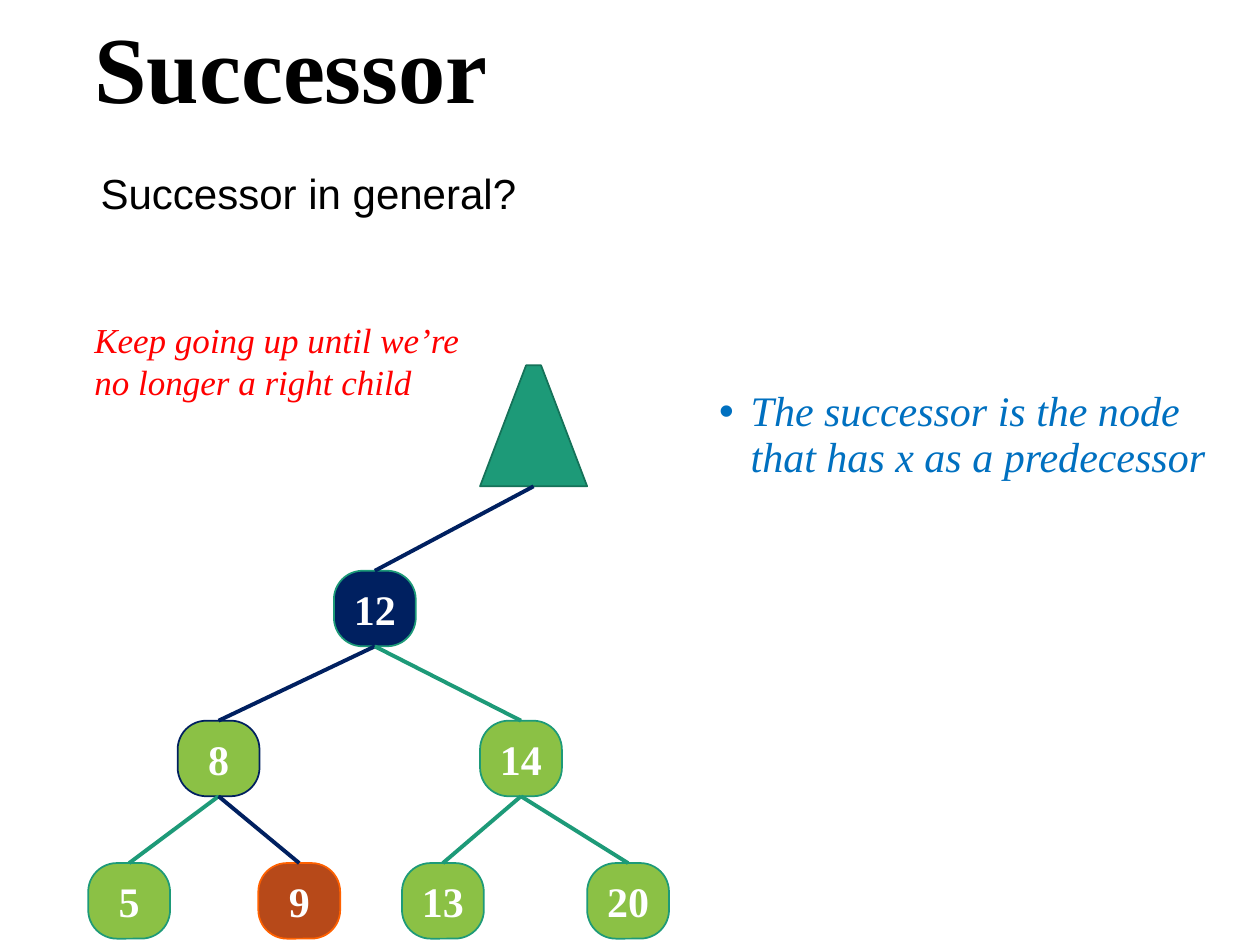
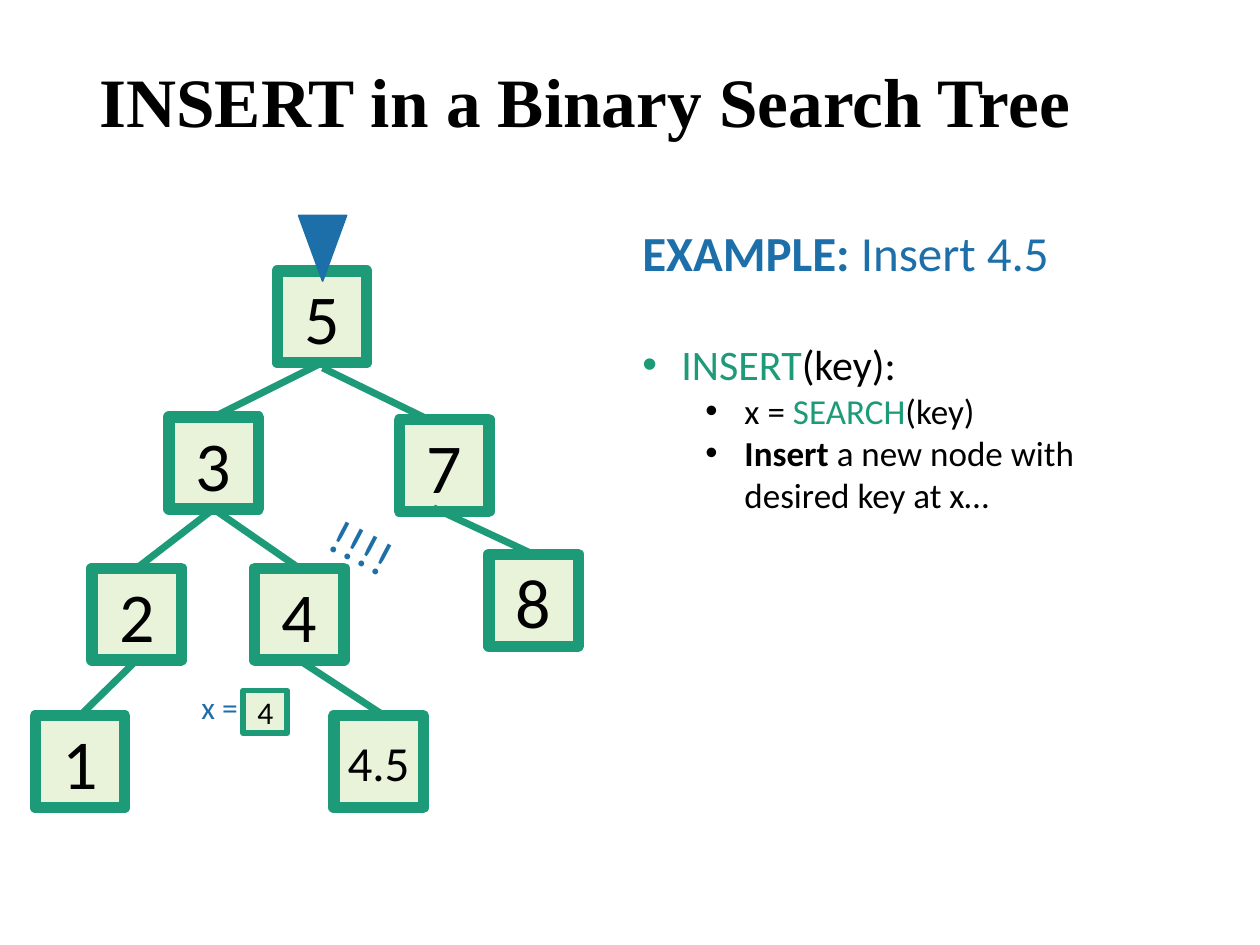
import lxml.etree
import pptx
import pptx.dml.color
import pptx.enum.shapes
import pptx.enum.text
import pptx.oxml.ns
import pptx.util

Inches = pptx.util.Inches
Pt = pptx.util.Pt
RGB = pptx.dml.color.RGBColor.from_string
qn = pptx.oxml.ns.qn
SHAPE = pptx.enum.shapes.MSO_SHAPE
ANCHOR = pptx.enum.text.MSO_ANCHOR
ALIGN = pptx.enum.text.PP_ALIGN


class Theme:
    black, white, red = "000000", "FFFFFF", "FF0000"
    green, dark_green, lime, pale = "1D9A78", "157259", "8BC145", "E8F3DA"
    navy, blue, sky = "002060", "1D6FA9", "0070C0"
    rust, orange = "B74919", "FF6100"
    serif, sans, plain = "Times New Roman", "Calibri", "Arial"
    styles = {
        "title": (serif, 54, black, True, False),
        "long title": (serif, 39.6, black, True, False),
        "question": (plain, 24, black, False, False),
        "hint": (serif, 20, red, False, True),
        "remark": (serif, 24, sky, False, True),
        "round node": (serif, 24, white, True, False),
        "node": (sans, 40, black, False, False),
        "wide node": (sans, 28, black, False, False),
        "small node": (sans, 18, black, False, False),
        "label": (sans, 18, blue, False, False),
        "example": (sans, 28, blue, False, False),
        "example bold": (sans, 28, blue, True, False),
        "call": (sans, 24, green, False, False),
        "code": (sans, 24, black, False, False),
        "step": (sans, 20, black, False, False),
        "step call": (sans, 20, green, False, False),
        "step bold": (sans, 20, black, True, False),
    }


def write(shape, paragraphs, anchor=ANCHOR.TOP, align=ALIGN.LEFT, spacing=1.0, hang=0.31):
    tf = shape.text_frame
    tf.word_wrap = True
    tf.vertical_anchor = anchor
    for i, (indent, runs) in enumerate(paragraphs):
        p = tf.paragraphs[0] if i == 0 else tf.add_paragraph()
        if indent:
            p.level = int(indent > hang)
            pPr = p._p.get_or_add_pPr()
            pPr.set("marL", str(Inches(indent)))
            pPr.set("indent", str(Inches(-hang)))
            lxml.etree.SubElement(pPr, qn("a:buFont")).set("typeface", Theme.plain)
            lxml.etree.SubElement(pPr, qn("a:buChar")).set("char", "•")
        p.alignment = align
        p.line_spacing = spacing
        for text, style in runs:
            r = p.add_run()
            r.text = text
            r.font.name, size, color, r.font.bold, r.font.italic = Theme.styles[style]
            r.font.size = Pt(size)
            r.font.color.rgb = RGB(color)


def draw(s, kind, box, fill, line, width, text="", style="node"):
    sp = s.shapes.add_shape(kind, *map(Inches, box))
    sp.shadow.inherit = False
    sp.fill.solid()
    sp.fill.fore_color.rgb = RGB(fill)
    sp.line.color.rgb = RGB(line)
    sp.line.width = Pt(width)
    if text:
        tf = sp.text_frame
        tf.margin_left = tf.margin_right = tf.margin_top = tf.margin_bottom = 0
        write(sp, [(0, [(text, style)])], ANCHOR.MIDDLE, ALIGN.CENTER)
    return sp


prs = pptx.Presentation()
prs.slide_width, prs.slide_height = Inches(10), Inches(7.5)
successor = prs.slides.add_slide(prs.slide_layouts[6])
insert = prs.slides.add_slide(prs.slide_layouts[6])

for s, box, text, style in [
    (successor, (0.65, 0.07, 8.62, 1.02), "Successor", "title"),
    (insert, (0.69, 0.4, 8.62, 0.87), "INSERT in a Binary Search Tree", "long title"),
]:
    write(s.shapes.add_textbox(*map(Inches, box)), [(0, [(text, style)])], ANCHOR.MIDDLE, spacing=0.9)

for s, box, text, style, angle in [
    (successor, (0.7, 1.28, 4.08, 0.5), "Successor in general?", "question", 0),
    (successor, (0.65, 2.48, 3.26, 0.77), "Keep going up until we’re no longer a right child", "hint", 0),
    (insert, (2.51, 4.11, 0.97, 0.57), "!!!!", "example", 27.8),
    (insert, (1.5, 5.41, 0.7, 0.4), "x =", "label", 0),
]:
    sp = s.shapes.add_textbox(*map(Inches, box))
    sp.rotation = angle
    write(sp, [(0, [(text, style)])])

sp = successor.shapes.add_textbox(Inches(5.61), Inches(3.05), Inches(4.06), Inches(1.09))
write(sp, [(0.25, [("The successor is the node that has x as a predecessor", "remark")])], spacing=0.9, hang=0.25)

sp = insert.shapes.add_textbox(Inches(5), Inches(1.72), Inches(4.36), Inches(0.57))
write(sp, [(0, [("EXAMPLE: ", "example bold"), ("Insert 4.5", "example")])])

sp = insert.shapes.add_textbox(Inches(5), Inches(2.64), Inches(4.31), Inches(2.15))
write(sp, [
    (0.31, [("INSERT", "call"), ("(key):", "code")]),
    (0.81, [("x = ", "step"), ("SEARCH", "step call"), ("(key)", "step")]),
    (0.81, [("Insert ", "step bold"), ("a new node with desired key at x…", "step")]),
])

round_nodes = {}
for key, left, top, fill, line in [
    ("12", 2.65, 4.53, Theme.navy, Theme.green),
    ("8", 1.41, 5.72, Theme.lime, Theme.navy),
    ("14", 3.81, 5.72, Theme.lime, Theme.green),
    ("5", 0.7, 6.85, Theme.lime, Theme.green),
    ("9", 2.05, 6.85, Theme.rust, Theme.orange),
    ("13", 3.19, 6.85, Theme.lime, Theme.green),
    ("20", 4.66, 6.85, Theme.lime, Theme.green),
]:
    sp = draw(successor, SHAPE.ROUNDED_RECTANGLE, (left, top, 0.65, 0.6), fill, line, 1, key, "round node")
    sp.adjustments[0] = 0.38
    round_nodes[key] = sp

sp = draw(successor, SHAPE.TRAPEZOID, (3.81, 2.9, 0.85, 0.96), Theme.green, Theme.dark_green, 1)
sp.adjustments[0] = 0.43
round_nodes["rest"] = sp

nodes = {}
for key, left, top in [
    ("5", 2.2, 2.15), ("3", 1.34, 3.31), ("7", 3.17, 3.33), ("2", 0.73, 4.51),
    ("4", 2.02, 4.51), ("8", 3.88, 4.4), ("1", 0.28, 5.68), ("4.5", 2.65, 5.68),
]:
    style = "wide node" if key == "4.5" else "node"
    nodes[key] = draw(insert, SHAPE.RECTANGLE, (left, top, 0.71, 0.73), Theme.pale, Theme.green, 6.5, key, style)

edges = [
    (successor, round_nodes, parent, child, color, 2.25, None, None)
    for parent, child, color in [
        ("rest", "12", Theme.navy), ("12", "8", Theme.navy), ("12", "14", Theme.green),
        ("8", "5", Theme.green), ("8", "9", Theme.navy),
        ("14", "13", Theme.green), ("14", "20", Theme.green),
    ]
] + [
    (insert, nodes, parent, child, Theme.green, 4, start, end)
    for parent, child, start, end in [
        ("5", "3", None, None), ("5", "7", (2.56, 2.92), (3.36, 3.31)),
        ("3", "2", None, None), ("3", "4", None, None),
        ("7", "8", (3.44, 4.03), None), ("2", "1", None, None),
        ("4", "4.5", None, (3.08, 5.7)),
    ]
]
for s, tree, parent, child, color, width, start, end in edges:
    ends = (*(start or (0, 0)), *(end or (0, 0)))
    line = s.shapes.add_connector(pptx.enum.shapes.MSO_CONNECTOR.STRAIGHT, *map(Inches, ends))
    if start is None:
        line.begin_connect(tree[parent], 2)
    if end is None:
        line.end_connect(tree[child], 0)
    line.line.color.rgb = RGB(color)
    line.line.width = Pt(width)
    lxml.etree.SubElement(line._element.spPr, qn("a:effectLst"))

sp = draw(insert, SHAPE.ISOSCELES_TRIANGLE, (2.37, 1.71, 0.38, 0.52), Theme.blue, Theme.blue, 1)
sp.rotation = 180
draw(insert, SHAPE.RECTANGLE, (1.93, 5.48, 0.35, 0.34), Theme.pale, Theme.green, 3.25, "4", "small node")

prs.save("out.pptx")
